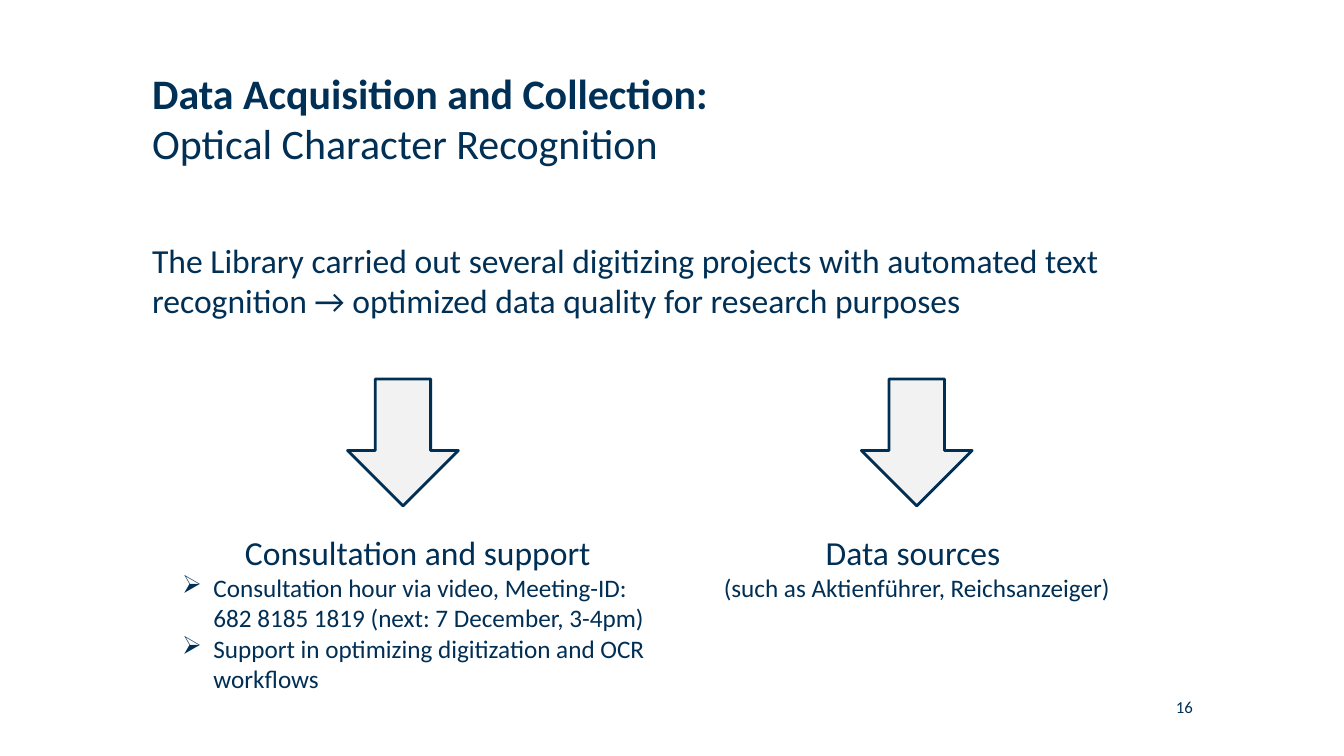
from lxml.etree import SubElement
from pptx import Presentation
from pptx.dml.color import RGBColor
from pptx.enum.shapes import MSO_SHAPE as Shape
from pptx.enum.text import PP_ALIGN as Align
from pptx.oxml.ns import qn
from pptx.util import Inches, Pt

COLORS = {"title": "003056", "label": "002F56", "arrow": "F2F2F2"}

presentation = Presentation()
presentation.slide_width = Inches(13.34)
presentation.slide_height = Inches(7.5)
slide = presentation.slides.add_slide(presentation.slide_layouts[6])


def add_text(left, top, width, height, lines, color, inset=True, wrap=True):
    """Add a text box; lines holds (text, size, bold, alignment, bullet)."""
    box = slide.shapes.add_textbox(Inches(left), Inches(top), Inches(width), Inches(height))
    frame = box.text_frame
    frame.word_wrap = wrap
    if not inset:
        frame.margin_left = frame.margin_right = 0
        frame.margin_top = frame.margin_bottom = 0
    frame.text = "\n".join(line[0] for line in lines)
    for paragraph, (text, size, bold, alignment, bullet) in zip(frame.paragraphs, lines):
        paragraph.alignment = alignment
        if bullet:
            properties = paragraph._p.get_or_add_pPr()
            properties.set("marL", str(Inches(0.31)))
            properties.set("indent", str(-Inches(0.31)))
            SubElement(properties, qn("a:buChar")).set("char", bullet)
        for run in paragraph.runs:
            run.font.name = "Calibri"
            run.font.size = Pt(size)
            run.font.bold = bold
            run.font.color.rgb = RGBColor.from_string(COLORS[color])


# Title, introduction and page number
add_text(1.51, 0.67, 7.06, 1.37, [
    ("Data Acquisition and Collection:", 30, True, Align.LEFT, None),
    ("Optical Character Recognition", 30, False, Align.LEFT, None),
], "title", inset=False)
add_text(1.51, 2.38, 10.31, 1.13, [
    ("The Library carried out several digitizing projects with automated text "
     "recognition → optimized data quality for research purposes",
     24, False, Align.LEFT, None),
], "title", inset=False)
add_text(10.3, 6.91, 1.54, 0.2, [("16", 12, False, Align.RIGHT, None)], "title", inset=False)

# Arrows down to the two offers
for left in (3.45, 8.55):
    arrow = slide.shapes.add_shape(
        Shape.DOWN_ARROW, Inches(left), Inches(3.76), Inches(1.1), Inches(1.26))
    arrow.shadow.inherit = False
    arrow.fill.solid()
    arrow.fill.fore_color.rgb = RGBColor.from_string(COLORS["arrow"])
    arrow.line.color.rgb = RGBColor.from_string(COLORS["label"])
    arrow.line.width = Pt(2)

# The two offers
add_text(1.71, 5.23, 4.95, 1.72, [
    ("Consultation and support ", 24, False, Align.CENTER, None),
    ("Consultation hour via video, Meeting-ID: 682 8185 1819 (next: 7 December, 3-4pm)",
     18, False, Align.LEFT, "➢"),
    ("Support in optimizing digitization and OCR workflows", 18, False, Align.LEFT, "➢"),
], "label")
add_text(7.06, 5.23, 4.08, 0.81, [
    ("Data sources ", 24, False, Align.CENTER, None),
    ("(such as Aktienführer, Reichsanzeiger)", 18, False, Align.CENTER, None),
], "label", wrap=False)

presentation.save("out.pptx")
